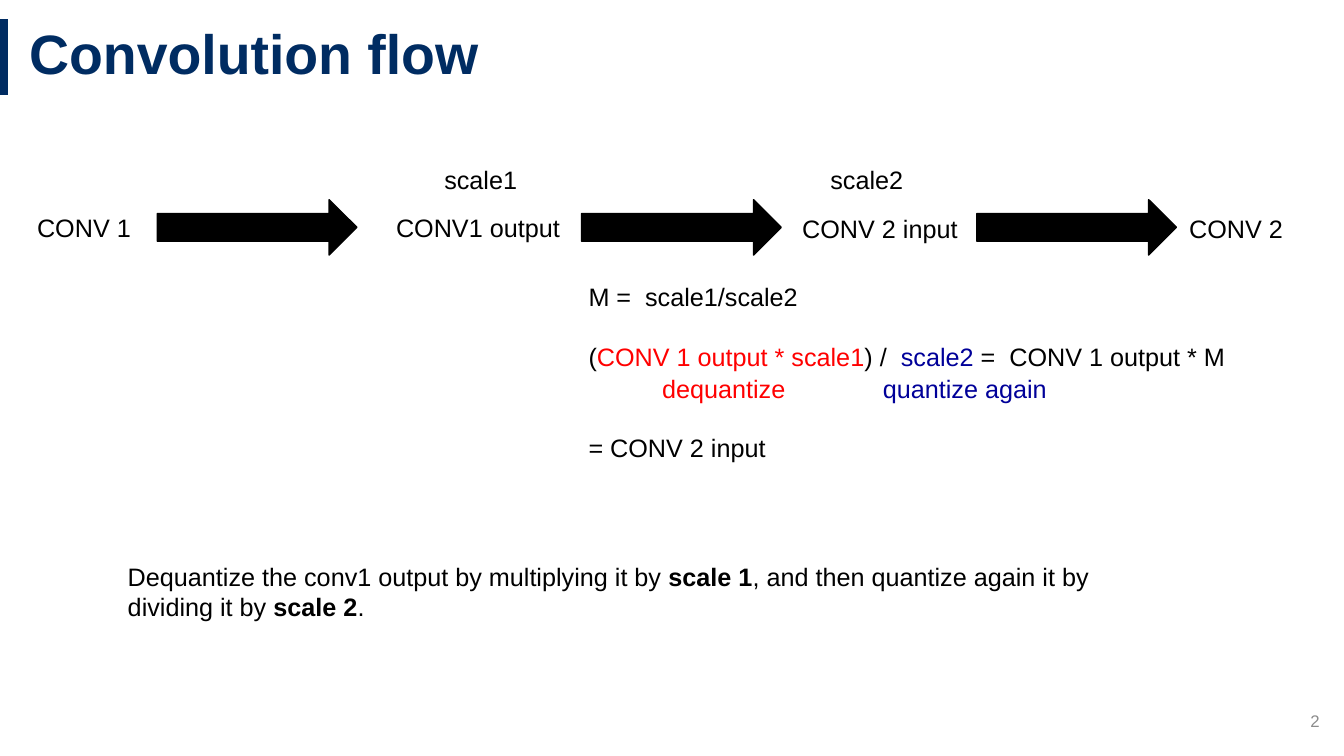
from pptx import Presentation
from pptx.dml.color import RGBColor
from pptx.enum import shapes, text
from pptx.oxml import parse_xml
from pptx.oxml.ns import nsdecls
from pptx.util import Pt

# Content
HUES = {"navy": "002C62", "gray": "8C8C8C", "black": "000000",
        "red": "FF0000", "blue": "000099"}
FONT, BODY = "Arial", 18
TITLE = "Convolution flow"
PAGE = "2"

# Flow labels: text, left, top, width, colour
LABELS = [
    ("CONV 1", 19.4, 148.3, 129, "black"),
    ("scale1", 310.3, 113.8, 141, "black"),
    ("scale2", 586.1, 113.8, 88, "black"),
    ("CONV1 output", 275.8, 148.3, 176, "black"),
    ("CONV 2 input", 565.9, 149, 129, "black"),
    ("CONV 2", 842.4, 149, 88, "black"),
    ("dequantize", 465.8, 262.8, 168, "red"),
    ("quantize again", 623.5, 262.8, 142, "blue"),
]
ARROWS = [112.3, 415.4, 697.7]

# Paragraphs: space before, then runs of (text, colour, bold)
MATH = [
    (0, [("M =  scale1/scale2", "black", False)]),
    (21.5, [("(", "black", False),
            ("CONV 1 output * scale1", "red", False),
            (") /  ", "black", False),
            ("scale2", "blue", False),
            (" =  CONV 1 output * M", "black", False)]),
    (43.5, [("= CONV 2 input", "black", False)]),
]
NOTE = [
    (0, [("Dequantize the conv1 output by multiplying it by ", "black", False),
         ("scale 1", "black", True),
         (", and then quantize again it by dividing it by ", "black", False),
         ("scale 2", "black", True),
         (".", "black", False)]),
]

deck = Presentation()
deck.slide_width, deck.slide_height = Pt(960), Pt(540)
slide = deck.slides.add_slide(deck.slide_layouts[6])


def hue(name):
    return RGBColor.from_string(HUES[name])


def write(paras, left, top, width, height, size=BODY, middle=False):
    box = slide.shapes.add_textbox(Pt(left), Pt(top), Pt(width), Pt(height))
    frame = box.text_frame
    frame.word_wrap = True
    if middle:
        frame.vertical_anchor = text.MSO_ANCHOR.MIDDLE
    for i, (gap, runs) in enumerate(paras):
        para = frame.add_paragraph() if i else frame.paragraphs[0]
        if gap:
            para.space_before = Pt(gap)
        for words, color, bold in runs:
            run = para.add_run()
            run.text = words
            run.font.name, run.font.size = FONT, Pt(size)
            run.font.bold = bold
            run.font.color.rgb = hue(color)
    return frame.paragraphs[0]


# Title with its side bar
bar = slide.shapes.add_connector(
    shapes.MSO_CONNECTOR.STRAIGHT, Pt(2.9), Pt(13.7), Pt(2.9), Pt(67.7))
bar.line.color.rgb = hue("navy")
bar.line.width = Pt(6)
bar._element.spPr.append(parse_xml(f"<a:effectLst {nsdecls('a')}/>"))
head = write([(0, [(TITLE, "navy", True)])], 13.7, 13.7, 946, 54, 39.6, True)
head.line_spacing = 0.9

# Page number
page = write([(0, [(PAGE, "gray", False)])], 733.7, 500.4, 216, 28.8, 12, True)
page.alignment = text.PP_ALIGN.RIGHT

# Flow arrows
for left in ARROWS:
    arrow = slide.shapes.add_shape(
        shapes.MSO_SHAPE.RIGHT_ARROW, Pt(left), Pt(142.6), Pt(142.6), Pt(39.6))
    arrow.shadow.inherit = False
    arrow.fill.solid()
    arrow.fill.fore_color.rgb = hue("black")
    arrow.line.color.rgb = hue("black")
    arrow.line.width = Pt(1)

# Labels, formula and explanation
for words, left, top, width, color in LABELS:
    write([(0, [(words, color, False)])], left, top, width, 29)
write(MATH, 413.3, 197.3, 531, 138)
write(NOTE, 84.2, 397.4, 739.4, 51)

deck.save("out.pptx")
